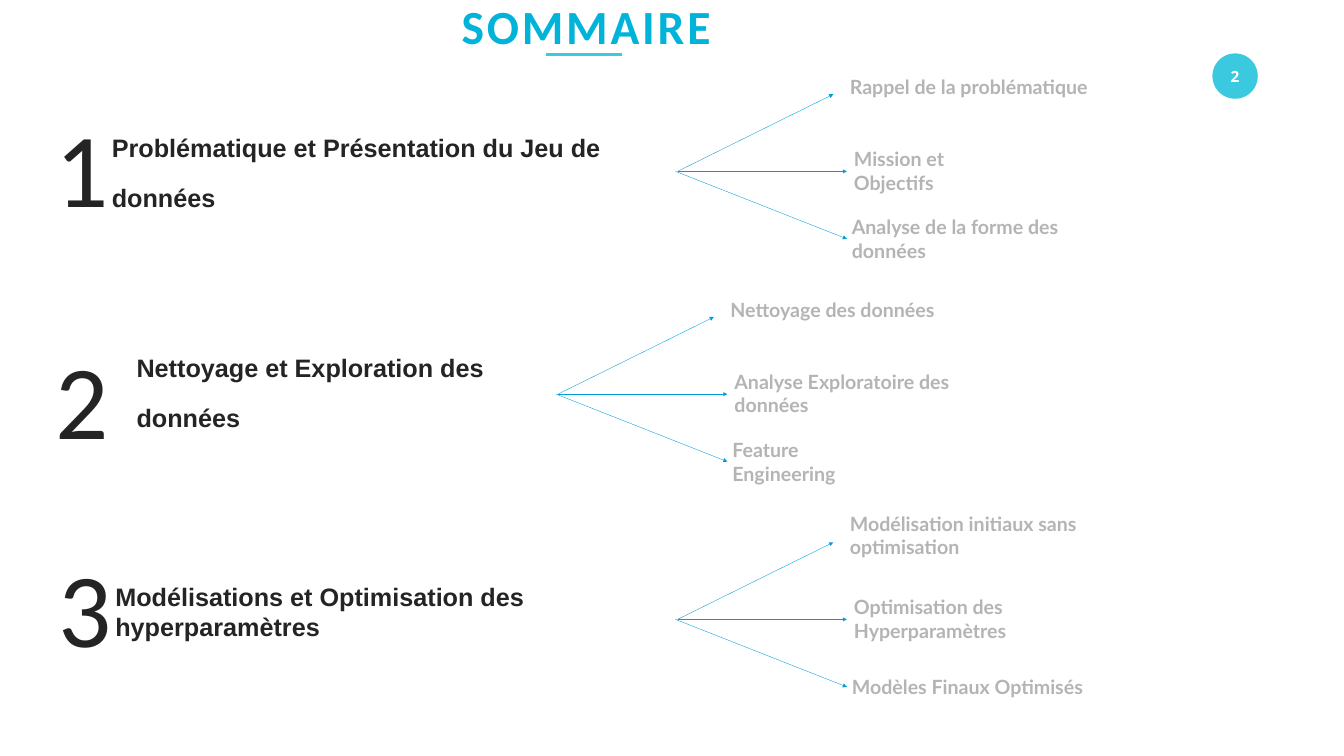
from lxml.etree import SubElement
from pptx import Presentation
from pptx.dml.color import RGBColor
from pptx.enum.shapes import MSO_CONNECTOR, MSO_SHAPE
from pptx.enum.text import MSO_ANCHOR as Anchor, MSO_AUTO_SIZE as AutoSize, PP_ALIGN as Align
from pptx.oxml.ns import qn
from pptx.util import Inches, Pt

COLORS = {
    "heading": "242424",
    "detail": "B4B4B4",
    "arrow": "009CDA",
    "accent": "3BC9DF",
    "title_start": "00B4D9",
    "title_end": "4BD9E1",
    "white": "FFFFFF",
}

SECTIONS = [
    {
        "number": ("1", 0.96, 2.04),
        "heading": ("Problématique et Présentation du Jeu de données", 2.12, 2.74, 11.1, 0.98),
        "spacing": Pt(70.6),
        "hub": (13.44, 3.4),
        "details": [
            ("Rappel de la problématique", 4.94),
            ("Mission et Objectifs", 3.59),
            ("Analyse de la forme des données", 5.8),
        ],
    },
    {
        "number": ("2", 0.96, 6.63),
        "heading": ("Nettoyage et Exploration des données", 2.61, 7.11, 8.42, 0.97),
        "spacing": Pt(70.6),
        "hub": (11.07, 7.82),
        "details": [
            ("Nettoyage des données", 4.34),
            ("Analyse Exploratoire des données", 5.93),
            ("Feature Engineering", 3.62),
        ],
    },
    {
        "number": ("3", 1.02, 10.76),
        "heading": ("Modélisations et Optimisation des hyperparamètres", 2.19, 11.77, 11.47, 0.71),
        "spacing": 1.0,
        "hub": (13.44, 12.29),
        "details": [
            ("Modélisation initiaux sans optimisation", 6.73),
            ("Optimisation des Hyperparamètres", 6.13),
            ("Modèles Finaux Optimisés", 4.82),
        ],
    },
]

BRANCHES = [
    {"start": 0, "tip": (3.09, -1.53), "label": (3.32, -1.96)},
    {"start": 0, "tip": (3.36, 0), "label": (3.4, -0.3)},
    {"start": -0.04, "tip": (3.36, 1.34), "label": (3.36, 1.05)},
]


def rgb(name):
    """Return the palette colour with the given name."""
    return RGBColor.from_string(COLORS[name])


class SummarySlide:
    """Draws the parts of a summary in one consistent style."""

    def __init__(self, slide):
        """Keep the slide to draw on."""
        self.slide = slide

    def set_text(self, frame, text, font, size, color, bold=True, align=Align.LEFT, tracking=0):
        """Fill a text frame and return its only run."""
        frame.text = text
        paragraph = frame.paragraphs[0]
        paragraph.alignment = align
        run = paragraph.runs[0]
        run.font.name = font
        run.font.size = Pt(size)
        run.font.bold = bold
        run.font.color.rgb = rgb(color)
        if tracking:
            run._r.get_or_add_rPr().set("spc", str(tracking * 100))
        return run

    def tighten(self, frame):
        """Anchor a frame at the top with only a left margin."""
        frame.vertical_anchor = Anchor.TOP
        frame.margin_left = Inches(0.1)
        frame.margin_top = frame.margin_right = frame.margin_bottom = 0

    def title(self, text, left, top, width, height):
        """Place the title with its gradient lettering."""
        title = self.slide.shapes.title
        title.left, title.top = Inches(left), Inches(top)
        title.width, title.height = Inches(width), Inches(height)
        frame = title.text_frame
        run = self.set_text(frame, text, "Calibri", 68, "title_start", align=Align.CENTER, tracking=4)
        self.tighten(frame)
        frame.word_wrap = True
        frame.auto_size = AutoSize.NONE
        fill = run.font.fill
        fill.gradient()
        fill.gradient_angle = 345
        stops = [(0.09, "title_start"), (0.57, "title_end")]
        for stop, (position, color) in zip(fill.gradient_stops, stops):
            stop.position = position
            stop.color.rgb = rgb(color)

    def badge(self, text, left, top, size):
        """Draw the round page number."""
        badge = self.slide.shapes.add_shape(
            MSO_SHAPE.OVAL, Inches(left), Inches(top), Inches(size), Inches(size))
        badge.shadow.inherit = False
        badge.fill.solid()
        badge.fill.fore_color.rgb = rgb("accent")
        badge.line.fill.background()
        badge.text_frame.vertical_anchor = Anchor.MIDDLE
        self.set_text(badge.text_frame, text, "Open Sans", 22, "white", align=Align.CENTER)

    def textbox(self, left, top, width, height):
        """Add a wrapping text box and return its frame."""
        frame = self.slide.shapes.add_textbox(
            Inches(left), Inches(top), Inches(width), Inches(height)).text_frame
        frame.word_wrap = True
        frame.auto_size = AutoSize.SHAPE_TO_FIT_TEXT
        frame.vertical_anchor = Anchor.MIDDLE
        return frame

    def number(self, text, left, top):
        """Add a large section number."""
        frame = self.textbox(left, top, 1.22, 2.52)
        self.tighten(frame)
        self.set_text(frame, text, "Calibri", 150, "heading", False, Align.CENTER, 4)

    def heading(self, text, left, top, width, height, spacing):
        """Add a section heading."""
        frame = self.textbox(left, top, width, height)
        self.set_text(frame, text, "Arial", 36, "heading")
        frame.paragraphs[0].line_spacing = spacing

    def detail(self, text, left, top, width):
        """Add one point of a section."""
        self.set_text(self.textbox(left, top, width, 0.57), text, "Lato", 28, "detail")

    def line(self, start, end, color, weight, arrow=False):
        """Draw a straight line, with an arrowhead at its end if asked."""
        line = self.slide.shapes.add_connector(
            MSO_CONNECTOR.STRAIGHT, *(Inches(value) for value in (*start, *end)))
        line.line.color.rgb = rgb(color)
        line.line.width = Pt(weight)
        properties = line._element.spPr
        if arrow:
            SubElement(properties.find(qn("a:ln")), qn("a:tailEnd"), type="triangle")
        SubElement(properties, qn("a:effectLst"))

    def section(self, section):
        """Draw a numbered section with its three branches."""
        self.number(*section["number"])
        self.heading(*section["heading"], section["spacing"])
        x, y = section["hub"]
        for branch, (text, width) in zip(BRANCHES, section["details"]):
            tip_x, tip_y = branch["tip"]
            label_x, label_y = branch["label"]
            self.detail(text, x + label_x, y + label_y, width)
            self.line((x + branch["start"], y), (x + tip_x, y + tip_y), "arrow", 0.5, True)


def main():
    """Build and save the summary slide."""
    deck = Presentation()
    deck.slide_width, deck.slide_height = Inches(26.66), Inches(15)
    summary = SummarySlide(deck.slides.add_slide(deck.slide_layouts[5]))
    summary.badge("2", 24.05, 1.06, 0.9)
    summary.title("SOMMAIRE", 9.01, -0.06, 5.14, 1.14)
    summary.line((10.84, 1.08), (12.33, 1.08), "accent", 3.6)
    for section in SECTIONS:
        summary.section(section)
    deck.save("out.pptx")


if __name__ == "__main__":
    main()
